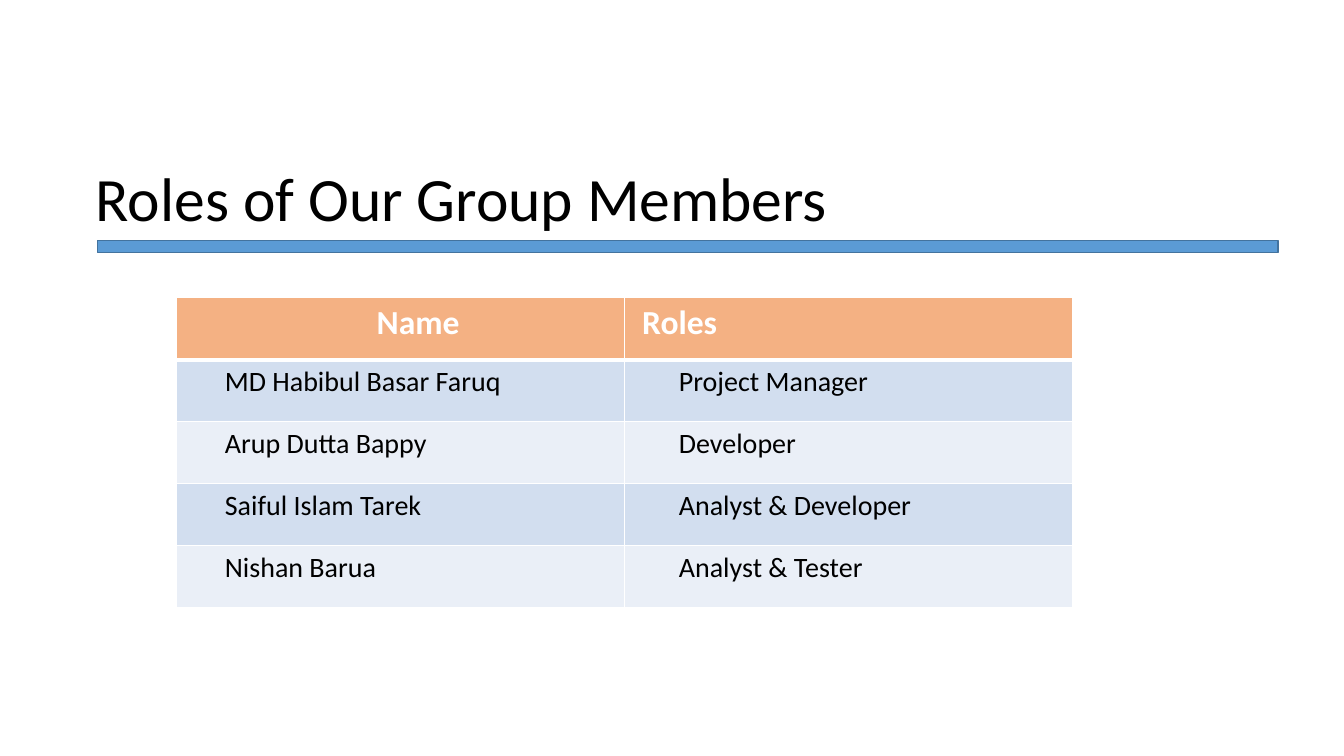
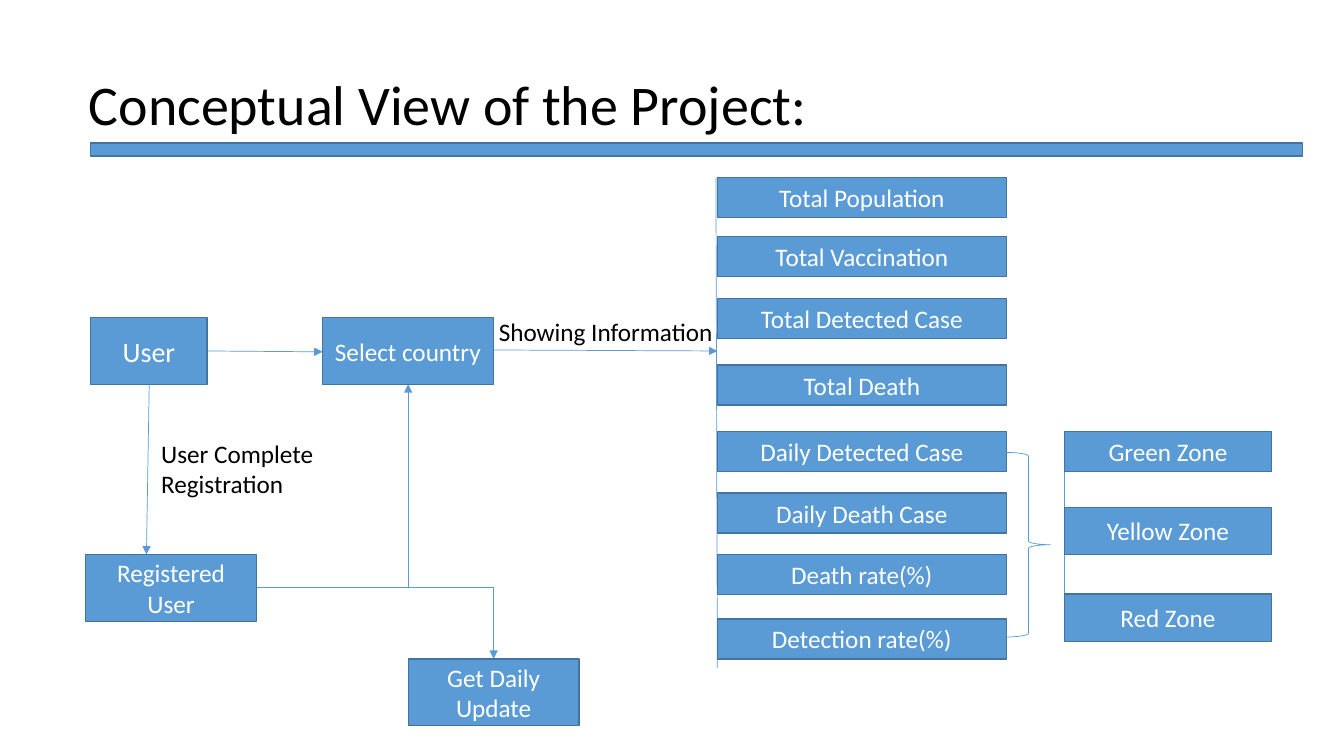
from typing import NamedTuple, Optional

from pptx import Presentation
from pptx.dml.color import RGBColor
from pptx.enum.shapes import MSO_CONNECTOR, MSO_SHAPE
from pptx.enum.text import MSO_ANCHOR, MSO_AUTO_SIZE, PP_ALIGN
from pptx.oxml.ns import qn
from pptx.oxml.xmlchemy import OxmlElement
from pptx.shapes.autoshape import Shape
from pptx.slide import Slide
from pptx.text.text import TextFrame
from pptx.util import Pt

RECT, BRACE = MSO_SHAPE.RECTANGLE, MSO_SHAPE.RIGHT_BRACE
STRAIGHT, ELBOW = MSO_CONNECTOR.STRAIGHT, MSO_CONNECTOR.ELBOW
LEFT, CENTER = PP_ALIGN.LEFT, PP_ALIGN.CENTER
TOP, MIDDLE = MSO_ANCHOR.TOP, MSO_ANCHOR.MIDDLE
NO_AUTOFIT = MSO_AUTO_SIZE.NONE

FONT = "Calibri"
BLACK = RGBColor(0x00, 0x00, 0x00)
WHITE = RGBColor(0xFF, 0xFF, 0xFF)
BLUE = RGBColor(0x5B, 0x9B, 0xD5)
DARK_BLUE = RGBColor(0x43, 0x73, 0x9E)
ORANGE = RGBColor(0xF4, 0xB1, 0x83)
BAND_DARK = RGBColor(0xD2, 0xDE, 0xEF)
BAND_LIGHT = RGBColor(0xEA, 0xEF, 0xF7)

TITLE_ONLY = 5


class Area(NamedTuple):
    """A rectangle in points."""
    left: float
    top: float
    width: float
    height: float


class Box(NamedTuple):
    """A labelled blue rectangle."""
    text: str
    area: Area
    size: float = 18


class Line(NamedTuple):
    """A connector between two points, straight unless bent."""
    x1: float
    y1: float
    x2: float
    y2: float
    arrow: bool = True
    bent: bool = False


class CellStyle(NamedTuple):
    """The look of one table row; indents holds one left margin per column."""
    size: float
    bold: bool
    color: RGBColor
    fill: RGBColor
    indents: tuple[float, float]


HEADER = CellStyle(24, True, WHITE, ORANGE, (142.8, 12.6))
BANDS = [CellStyle(20, False, BLACK, fill, (34.3, 38.8))
         for fill in (BAND_DARK, BAND_LIGHT)]

ROLES = [
    ("Name", "Roles"),
    ("MD Habibul Basar Faruq", "Project Manager"),
    ("Arup Dutta Bappy", "Developer"),
    ("Saiful Islam Tarek", "Analyst & Developer"),
    ("Nishan Barua", "Analyst & Tester"),
]
TABLE_AREA = Area(126.3, 212.7, 639.7, 221.5)

STEP_W, STEP_H = 122, 47.8
METRIC_X, METRIC_W, BAR_H = 512.4, 206.4, 28.6
ZONE_X, ZONE_W = 760.4, 147.8

STEPS = [
    Box("User", Area(64.8, 226.8, 83.2, STEP_H), 20),
    Box("Select country", Area(230.4, 226.8, STEP_W, STEP_H)),
    Box("Registered User", Area(61.2, 396, STEP_W, STEP_H)),
    Box("Get Daily Update", Area(291.6, 470.6, STEP_W, STEP_H)),
]
METRICS = [Box(text, Area(METRIC_X, top, METRIC_W, BAR_H)) for text, top in [
    ("Total Population", 126.8),
    ("Total Vaccination", 169),
    ("Total Detected Case", 213.2),
    ("Total Death", 260.8),
    ("Daily Detected Case", 308.4),
    ("Daily Death Case", 352.2),
    ("Death rate(%)", 396.2),
    ("Detection rate(%)", 442),
]]
ZONES = [Box(text, Area(ZONE_X, top, ZONE_W, height))
         for text, top, height in [
             ("Green Zone", 308.4, BAR_H),
             ("Yellow Zone", 362.4, 33.6),
             ("Red Zone", 424.4, 33.8),
         ]]
LABELS = [
    ("Showing Information", Area(349.2, 222.6, 172.4, 28.8)),
    ("User Complete Registration", Area(108, 309.6, 149.8, 51.1)),
]
LINES = [
    Line(148.1, 250.7, 230.4, 251.3),
    Line(511.4, 126.8, 512.4, 477.2, arrow=False),
    Line(352.4, 250, 512.4, 250.7),
    Line(ZONE_X, 308.4, ZONE_X, 455, arrow=False),
    Line(106.6, 274.6, 104.6, 396),
    Line(183.2, 419.8, 291.6, 274.6, bent=True),
    Line(183.2, 419.8, 352.6, 470.6, bent=True),
]
BRACE_AREA = Area(718.8, 323.2, 31.6, 131.8)


def points(area: Area) -> list[Pt]:
    """Turn an area into lengths."""
    return [Pt(value) for value in area]


def format_text(tf: TextFrame, size: float, color: RGBColor,
                align: Optional[PP_ALIGN] = LEFT, bold: bool = False) -> None:
    """Format every paragraph and run of a text frame."""
    tf.word_wrap = True
    for p in tf.paragraphs:
        p.alignment = align
        for r in p.runs:
            r.font.name = FONT
            r.font.size = Pt(size)
            r.font.bold = bold
            r.font.color.rgb = color


def add_rect(s: Slide, area: Area) -> Shape:
    """Draw an outlined blue rectangle."""
    sp = s.shapes.add_shape(RECT, *points(area))
    sp.shadow.inherit = False
    sp.fill.solid()
    sp.fill.fore_color.rgb = BLUE
    sp.line.color.rgb = DARK_BLUE
    sp.line.width = Pt(1)
    return sp


def add_box(s: Slide, box: Box) -> None:
    """Draw a rectangle with a centred label."""
    tf = add_rect(s, box.area).text_frame
    tf.text = box.text
    tf.vertical_anchor = MIDDLE
    format_text(tf, box.size, WHITE, CENTER)


def add_label(s: Slide, text: str, area: Area) -> None:
    """Write a black caption."""
    tf = s.shapes.add_textbox(*points(area)).text_frame
    tf.text = text
    format_text(tf, 18, BLACK)


def add_line(s: Slide, line: Line) -> None:
    """Draw a thin connector, bent once or with an arrowhead if asked."""
    ends = [Pt(v) for v in (line.x1, line.y1, line.x2, line.y2)]
    sp = s.shapes.add_connector(ELBOW if line.bent else STRAIGHT, *ends)
    sp.line.color.rgb = BLUE
    sp.line.width = Pt(0.5)
    sp_pr = sp.element.spPr
    if line.bent:
        sp_pr.find(qn("a:prstGeom")).set("prst", "bentConnector2")
    if line.arrow:
        tail = OxmlElement("a:tailEnd")
        tail.set("type", "triangle")
        sp_pr.find(qn("a:ln")).append(tail)
    sp_pr.append(OxmlElement("a:effectLst"))


def add_brace(s: Slide, area: Area) -> None:
    """Draw the brace that groups the daily figures."""
    sp = s.shapes.add_shape(BRACE, *points(area))
    sp.shadow.inherit = False
    sp.fill.background()
    sp.line.color.rgb = BLUE
    sp.line.width = Pt(0.5)


def add_titled_slide(prs: Presentation, title: str, size: float,
                     title_area: Area, bar_area: Area) -> Slide:
    """Add a slide with a title and the blue bar below it."""
    s = prs.slides.add_slide(prs.slide_layouts[TITLE_ONLY])
    sp = s.shapes.title
    sp.left, sp.top, sp.width, sp.height = points(title_area)
    tf = sp.text_frame
    tf.text = title
    tf.auto_size = NO_AUTOFIT
    tf.vertical_anchor = TOP
    format_text(tf, size, BLACK)
    add_rect(s, bar_area)
    return s


def set_borders(cell, bottom: float) -> None:
    """Give a table cell white borders, with its own bottom width."""
    tc_pr = cell._tc.get_or_add_tcPr()
    widths = {"a:lnL": 1, "a:lnR": 1, "a:lnT": 1, "a:lnB": bottom}
    for index, (tag, width) in enumerate(widths.items()):
        ln = OxmlElement(tag)
        ln.set("w", str(Pt(width)))
        fill = OxmlElement("a:solidFill")
        color = OxmlElement("a:srgbClr")
        color.set("val", str(WHITE))
        fill.append(color)
        ln.append(fill)
        tc_pr.insert(index, ln)


def add_roles_table(s: Slide) -> None:
    """Draw the table of members and roles."""
    table = s.shapes.add_table(len(ROLES), len(ROLES[0]),
                               *points(TABLE_AREA)).table
    for i, row in enumerate(ROLES):
        style = BANDS[(i - 1) % 2] if i else HEADER
        for j, text in enumerate(row):
            cell = table.cell(i, j)
            cell.text_frame.text = text
            cell.margin_left = Pt(style.indents[j])
            cell.fill.solid()
            cell.fill.fore_color.rgb = style.fill
            format_text(cell.text_frame, style.size, style.color,
                        bold=style.bold)
            set_borders(cell, 1 if i else 3)


def add_roles_slide(prs: Presentation) -> None:
    """Build the slide about the group members."""
    s = add_titled_slide(prs, "Roles of Our Group Members", 44,
                         Area(61.2, 110.8, 776.2, 60.6),
                         Area(69.8, 171.6, 843.2, 9))
    add_roles_table(s)


def add_concept_slide(prs: Presentation) -> None:
    """Build the slide with the flow from user to zones."""
    s = add_titled_slide(prs, "Conceptual View of the Project:", 40,
                         Area(56.2, 46, 533.6, 55.8),
                         Area(64.8, 102.2, 865.4, 9.4))
    for line in LINES:
        add_line(s, line)
    for box in STEPS + METRICS + ZONES:
        add_box(s, box)
    for text, area in LABELS:
        add_label(s, text, area)
    add_brace(s, BRACE_AREA)


def main() -> None:
    """Build and save the presentation."""
    prs = Presentation()
    prs.slide_width, prs.slide_height = Pt(960), Pt(540)
    add_roles_slide(prs)
    add_concept_slide(prs)
    prs.save("out.pptx")


main()
